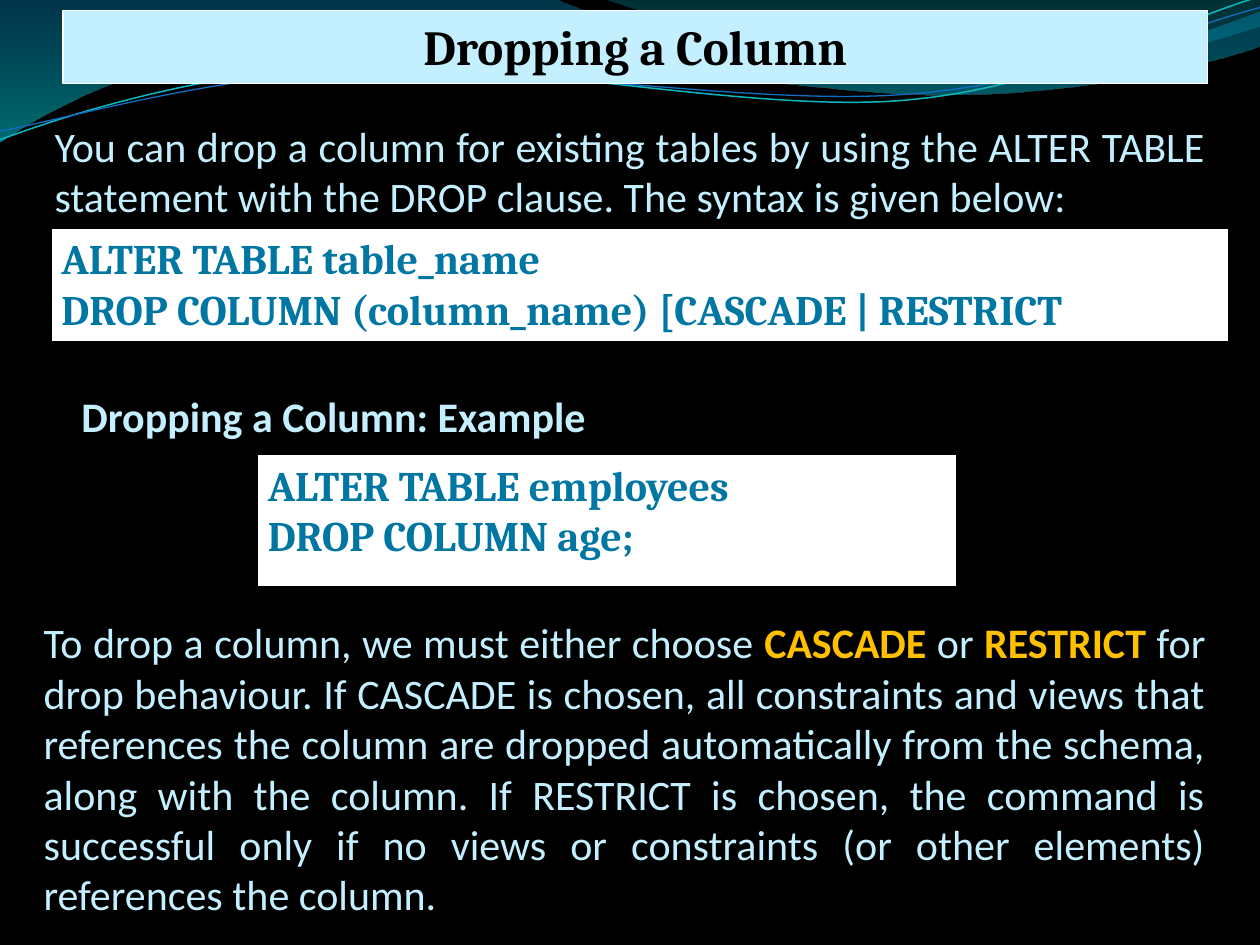
"""Build the 'Dropping a Column' slide on a dark wave background."""
from lxml.etree import SubElement
from pptx import Presentation
from pptx.dml.color import RGBColor
from pptx.enum.shapes import MSO_SHAPE
from pptx.enum.text import MSO_ANCHOR, PP_ALIGN
from pptx.oxml.ns import qn
from pptx.util import Cm, Pt


def rgb(value):
    return RGBColor.from_string(value)


def add_wave(shapes, start, segments, closed):
    points = [start] + [xy for seg in segments for xy in zip(seg[::2], seg[1::2])]
    points = [(Cm(x * 2.54), Cm(y * 2.54)) for x, y in points]
    builder = shapes.build_freeform(*points[0])
    builder.add_line_segments(points[1:], close=closed)
    s = builder.convert_to_shape()
    s.shadow.inherit = False
    nodes = iter(list(s._element.iter(qn("a:lnTo"))))
    for seg in segments:
        curve = next(nodes)
        if len(seg) == 6:
            cubic = SubElement(curve.getparent(), qn("a:cubicBezTo"))
            curve.addprevious(cubic)
            for node in (curve, next(nodes), next(nodes)):
                cubic.append(node[0])
                node.getparent().remove(node)
    return s


prs = Presentation()
prs.slide_width, prs.slide_height = Cm(25.4), Cm(19.05)
slide = prs.slides.add_slide(prs.slide_layouts[6])
slide.background.fill.solid()
slide.background.fill.fore_color.rgb = rgb("000000")

filled_waves = [
    ((-0.01, 0), [(4.4, -0.01), (4.76, 0.17, 6.64, 0.63, 7.58, 0.63),
                  (8.53, 0.63, 9.58, 0.26, 10, 0.09), (10.01, 0.36),
                  (9.83, 0.44, 8.7, 0.76, 7.46, 0.75),
                  (6.22, 0.75, 3.82, 0.28, 2.57, 0.34),
                  (1.29, 0.36, 0.46, 0.83, -0.01, 1.13)],
     [("0074A1", 0, 45), ("00C6CF", 1, 55)]),
    ((4.79, -0.01), [(5.09, 0.11, 6.82, 0.62, 7.69, 0.65),
                     (8.56, 0.69, 9.61, 0.32, 10, 0.21), (10, 0)],
     [("00A1A9", 0, 30), ("008BBF", 0.8, 45)]),
]
for start, segments, stops in filled_waves:
    s = add_wave(slide.shapes, start, segments, True)
    s.line.fill.background()
    s.fill.gradient()
    s.fill.gradient_angle = 270
    for stop, (color, position, opacity) in zip(s.fill.gradient_stops, stops):
        stop.color.rgb = rgb(color)
        stop.position = position
    colors = s._element.spPr.iter(qn("a:srgbClr"))
    for node, (color, position, opacity) in zip(colors, stops):
        SubElement(node, qn("a:alpha")).set("val", str(opacity * 1000))

line_waves = [
    ((0, 1.11), [(0.48, 0.93, 1.58, 0.57, 2.77, 0.52), (3.95, 0.47, 5.93, 0.89, 7.13, 0.8),
                 (8.33, 0.71, 9.38, 0.15, 9.98, -0.02)], "0AB8BF", 0.85),
    ((0, 1.04), [(0.47, 0.96, 1.64, 0.61, 2.83, 0.56), (4.03, 0.51, 5.97, 0.84, 7.17, 0.75),
                 (8.36, 0.67, 9.41, 0.21, 10, 0.06)], "0F6FC6", 0.75),
]
for start, segments, color, width in line_waves:
    s = add_wave(slide.shapes, start, segments, False)
    s.fill.background()
    s.line.color.rgb = rgb(color)
    s.line.width = Pt(width)

PALE, BLUE, AMBER = "C4EFFF", "0076A3", "FFC000"
boxes = [
    ((1.27, 0.21, 23.07, 1.47), ["Dropping a Column"], 28, "000000", PP_ALIGN.CENTER,
     (PALE, "FFFFFF", 0.75)),
    ((0.99, 4.57, 23.83, 2.35),
     ["ALTER TABLE table_name", "DROP COLUMN (column_name) [CASCADE | RESTRICT"],
     24, BLUE, PP_ALIGN.LEFT, ("FFFFFF", "000000", 3)),
    ((5.15, 9.13, 14.18, 2.74), ["ALTER TABLE employees", "DROP COLUMN age;"],
     24, BLUE, PP_ALIGN.LEFT, ("FFFFFF", "000000", 3)),
]
for place, lines, size, color, align, (fill, border, width) in boxes:
    s = slide.shapes.add_shape(MSO_SHAPE.RECTANGLE, *map(Cm, place))
    s.shadow.inherit = False
    s.fill.solid()
    s.fill.fore_color.rgb = rgb(fill)
    s.line.color.rgb = rgb(border)
    s.line.width = Pt(width)
    tf = s.text_frame
    tf.word_wrap = True
    tf.vertical_anchor = MSO_ANCHOR.TOP
    tf.text = "\n".join(lines)
    for p in tf.paragraphs:
        p.alignment = align
        p.font.name, p.font.size, p.font.bold = "Cambria", Pt(size), True
        p.font.color.rgb = rgb(color)

texts = [
    ((0.85, 2.29, 23.7, 2.31), MSO_ANCHOR.MIDDLE, PP_ALIGN.JUSTIFY, 0,
     [("You can drop a column for existing tables by using the ALTER TABLE statement "
       "with the DROP clause. The syntax is given below:", PALE, False)]),
    ((1.39, 7.75, 13.54, 1.27), MSO_ANCHOR.MIDDLE, PP_ALIGN.LEFT, 0,
     [("Dropping a Column: Example", PALE, True)]),
    ((0.63, 12.31, 23.92, 6.4), MSO_ANCHOR.TOP, PP_ALIGN.JUSTIFY, 12,
     [("To drop a column, we must either choose ", PALE, False),
      ("CASCADE", AMBER, True), (" or ", PALE, False), ("RESTRICT", AMBER, True),
      (" for drop behaviour. If CASCADE is chosen, all constraints and views that "
       "references the column are dropped automatically from the schema, along with "
       "the column. If RESTRICT is chosen, the command is successful only if no views "
       "or constraints (or other elements) references the column.", PALE, False)]),
]
for place, anchor, align, space, runs in texts:
    tf = slide.shapes.add_textbox(*map(Cm, place)).text_frame
    tf.word_wrap = True
    tf.vertical_anchor = anchor
    p = tf.paragraphs[0]
    p.alignment = align
    p.space_before = Pt(space)
    p.font.name, p.font.size = "Calibri", Pt(24)
    for text, color, bold in runs:
        r = p.add_run()
        r.text = text
        r.font.bold = bold
        r.font.color.rgb = rgb(color)

prs.save("out.pptx")
